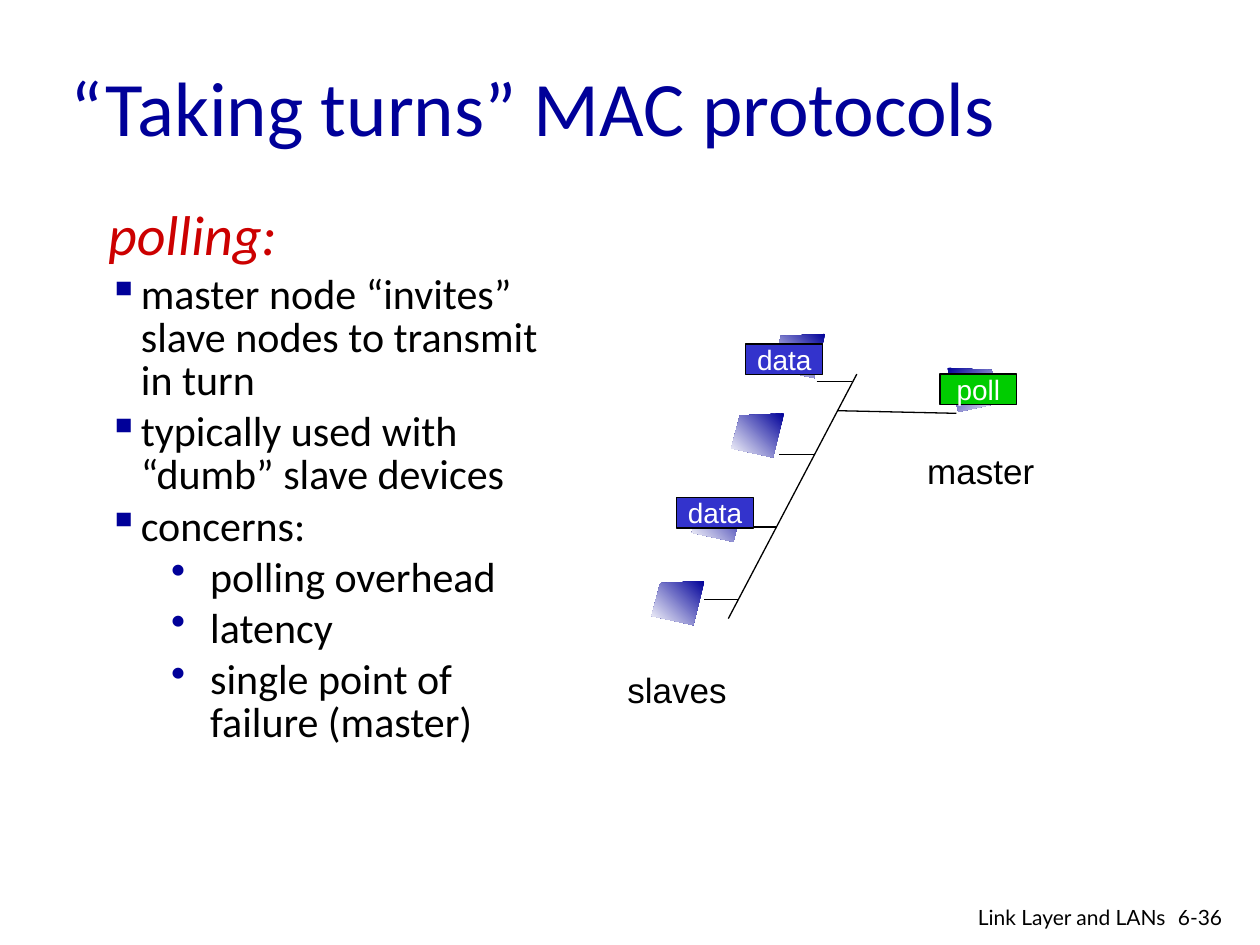
from dataclasses import dataclass

from lxml import etree
from pptx import Presentation
from pptx import util as u
from pptx.dml.color import RGBColor
from pptx.enum import shapes, text
from pptx.oxml.ns import qn

Pt = u.Pt


@dataclass(frozen=True)
class Theme:
    navy: str = "000099"
    red: str = "CC0000"
    blue: str = "3333CC"
    green: str = "00CC00"
    black: str = "000000"
    white: str = "FFFFFF"
    body_font: str = "Calibri"
    label_font: str = "Arial"
    footer_font: str = "Lato"
    title_size: float = 44
    heading_size: float = 32
    body_size: float = 24
    label_size: float = 20
    packet_size: float = 16
    footer_size: float = 12
    line_width: float = 0.75


T = Theme()

BULLETS = [
    (0, "master node “invites” slave nodes to transmit in turn"),
    (0, "typically used with “dumb” slave devices"),
    (0, "concerns:"),
    (1, "polling overhead"),
    (1, "latency"),
    (1, "single point of failure (master)"),
]
# Bullet sign, left margin and hanging indent for each level
LEVELS = [("▪", 18.7, 18.7), ("•", 58.3, 22.3)]

# Top outer corner of each node
SLAVE_CORNERS = [(402.5, 332), (425.5, 284.4), (448, 236.2), (471.5, 190.8)]
MASTER_CORNER = (541.4, 210.2)
NODE_OUTLINE = [(0, 0), (25.2, 1.2), (30.2, 20), (6.3, 25.2)]


def rgb(color):
    return RGBColor.from_string(color)


def style(p, size, font, color, italic=False):
    for r in p.runs:
        r.font.size = Pt(size)
        r.font.name = font
        r.font.italic = italic
        r.font.color.rgb = rgb(color)


def add_text(s, box, content, size, font, color, wrap=True,
             align=text.PP_ALIGN.LEFT, anchor=text.MSO_ANCHOR.TOP):
    tf = s.shapes.add_textbox(*map(Pt, box)).text_frame
    tf.word_wrap = wrap
    tf.vertical_anchor = anchor
    p = tf.paragraphs[0]
    p.text = content
    p.alignment = align
    style(p, size, font, color)
    return tf


def set_bullet(p, level):
    sign, margin, hanging = LEVELS[level]
    p.level = level
    pPr = p._p.get_or_add_pPr()
    pPr.set("marL", str(Pt(margin)))
    pPr.set("indent", str(-Pt(hanging)))
    color = etree.SubElement(pPr, qn("a:buClr"))
    etree.SubElement(color, qn("a:srgbClr"), val=T.navy)
    etree.SubElement(pPr, qn("a:buChar"), char=sign)


def add_body(s):
    tf = add_text(s, (54.7, 116.6, 272.2, 398.9), "polling:",
                  T.heading_size, T.body_font, T.red)
    tf.paragraphs[0].line_spacing = 0.85
    tf.paragraphs[0].runs[0].font.italic = True
    for level, content in BULLETS:
        p = tf.add_paragraph()
        p.text = content
        set_bullet(p, level)
        p.line_spacing = 0.85
        p.space_before = Pt(0.2 * T.body_size)
        style(p, T.body_size, T.body_font, T.black)


def add_node(s, corner, side):
    """Draw a shaded node that extends left (side -1) or right (side 1)."""
    x, y = corner
    points = [(Pt(x + side * dx), Pt(y + dy)) for dx, dy in NODE_OUTLINE]
    builder = s.shapes.build_freeform(*points[0], scale=1.0)
    builder.add_line_segments(points[1:], close=True)
    sp = builder.convert_to_shape()
    sp.shadow.inherit = False
    sp.line.fill.background()
    sp.fill.gradient()
    sp.fill.gradient_angle = 270 + 45 * side
    for stop, color, position in zip(sp.fill.gradient_stops,
                                     (T.navy, T.white), (0, 1)):
        stop.color.rgb = rgb(color)
        stop.position = position


def add_line(s, x1, y1, x2, y2):
    line = s.shapes.add_connector(shapes.MSO_CONNECTOR.STRAIGHT,
                                  Pt(x1), Pt(y1), Pt(x2), Pt(y2))
    line.line.color.rgb = rgb(T.black)
    line.line.width = Pt(T.line_width)
    etree.SubElement(line._element.spPr, qn("a:effectLst"))


def add_packet(s, x, y, content, color):
    sp = s.shapes.add_shape(shapes.MSO_SHAPE.RECTANGLE,
                            Pt(x), Pt(y), Pt(44), Pt(17.3))
    sp.shadow.inherit = False
    sp.fill.solid()
    sp.fill.fore_color.rgb = rgb(color)
    sp.line.color.rgb = rgb(T.black)
    sp.line.width = Pt(T.line_width)
    tf = sp.text_frame
    tf.word_wrap = False
    tf.margin_left = tf.margin_right = tf.margin_top = tf.margin_bottom = 0
    tf.vertical_anchor = text.MSO_ANCHOR.MIDDLE
    p = tf.paragraphs[0]
    p.text = content
    p.alignment = text.PP_ALIGN.CENTER
    style(p, T.packet_size, T.label_font, T.white)


def add_network(s):
    for corner in SLAVE_CORNERS:
        add_node(s, corner, -1)
    add_node(s, MASTER_CORNER, 1)

    add_line(s, 489.6, 213.8, 416.2, 353.5)
    add_line(s, 478.8, 234.7, 546.5, 236.2)
    for i in range(4):
        x, y = 466.6 - 21.4 * i, 218.2 + 41.5 * i
        add_line(s, x, y, x + 20, y)

    for box, name in [((522.7, 253.4, 75.6, 31), "master"),
                      ((351.4, 378.7, 71.3, 31), "slaves")]:
        add_text(s, box, name, T.label_size, T.label_font, T.black, wrap=False)

    add_packet(s, 537.1, 213.8, "poll", T.green)
    add_packet(s, 386.6, 284.4, "data", T.blue)
    add_packet(s, 426.2, 196.6, "data", T.blue)


def main():
    prs = Presentation()
    prs.slide_width, prs.slide_height = Pt(720), Pt(540)
    s = prs.slides.add_slide(prs.slide_layouts[6])
    add_text(s, (33.1, 15.1, 612, 90), "“Taking turns” MAC protocols",
             T.title_size, T.body_font, T.navy, anchor=text.MSO_ANCHOR.MIDDLE)
    add_body(s)
    add_network(s)
    add_text(s, (666, 513.4, 43.2, 21.6), "6-36",
             T.footer_size, T.footer_font, T.black)
    add_text(s, (501.8, 513.4, 171.4, 18.7), "Link Layer and LANs",
             T.footer_size, T.footer_font, T.black,
             align=text.PP_ALIGN.RIGHT)
    prs.save("out.pptx")


if __name__ == "__main__":
    main()
